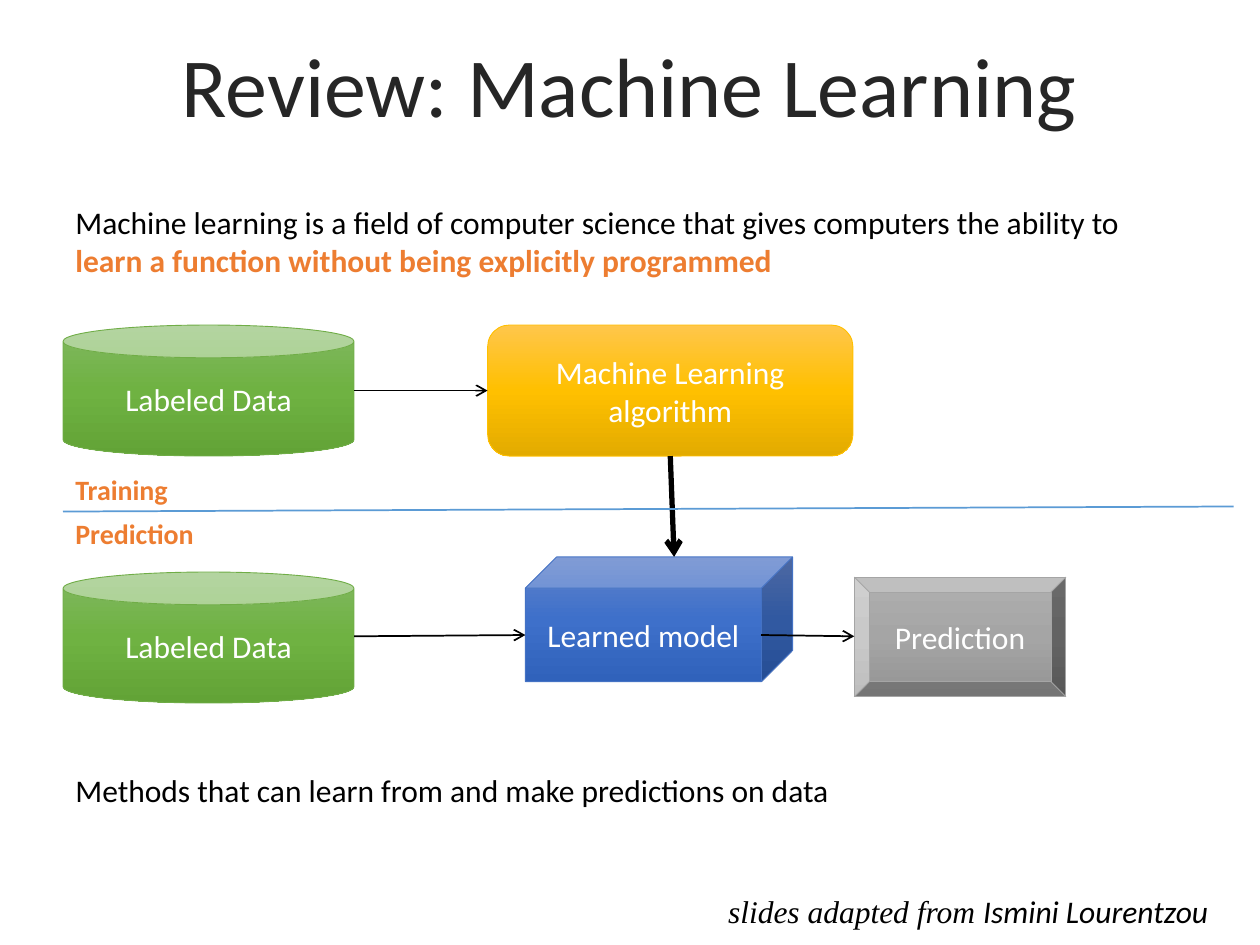
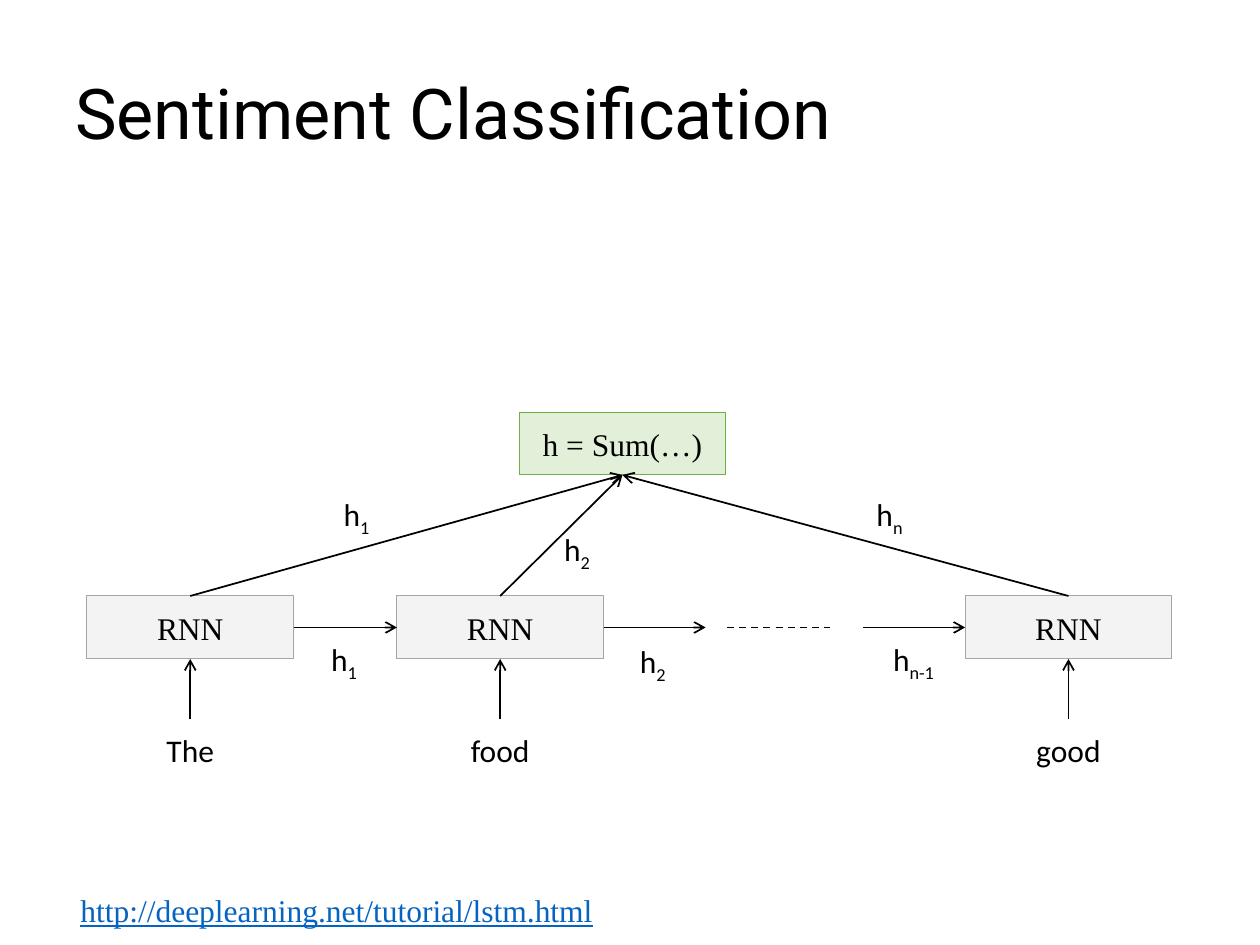
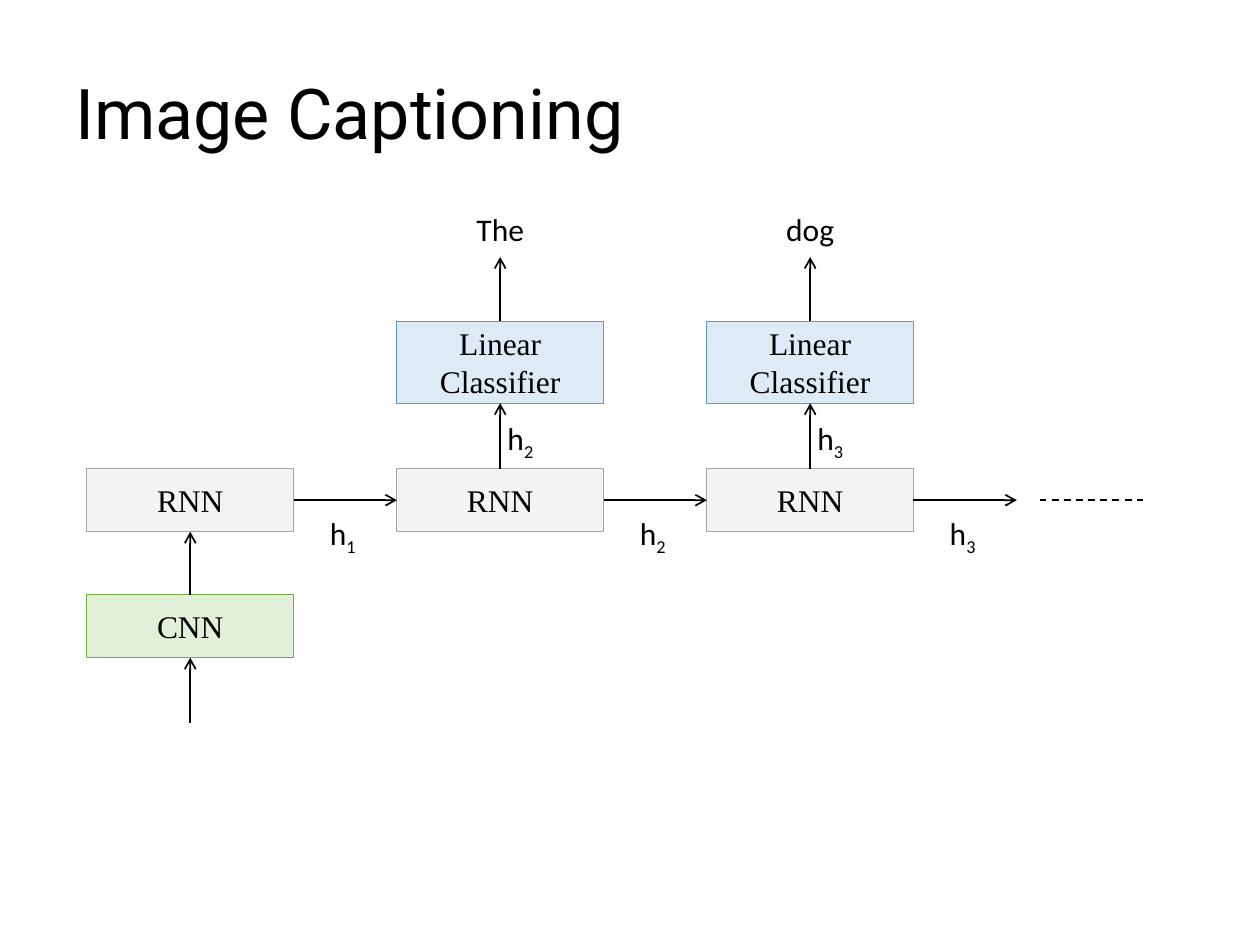
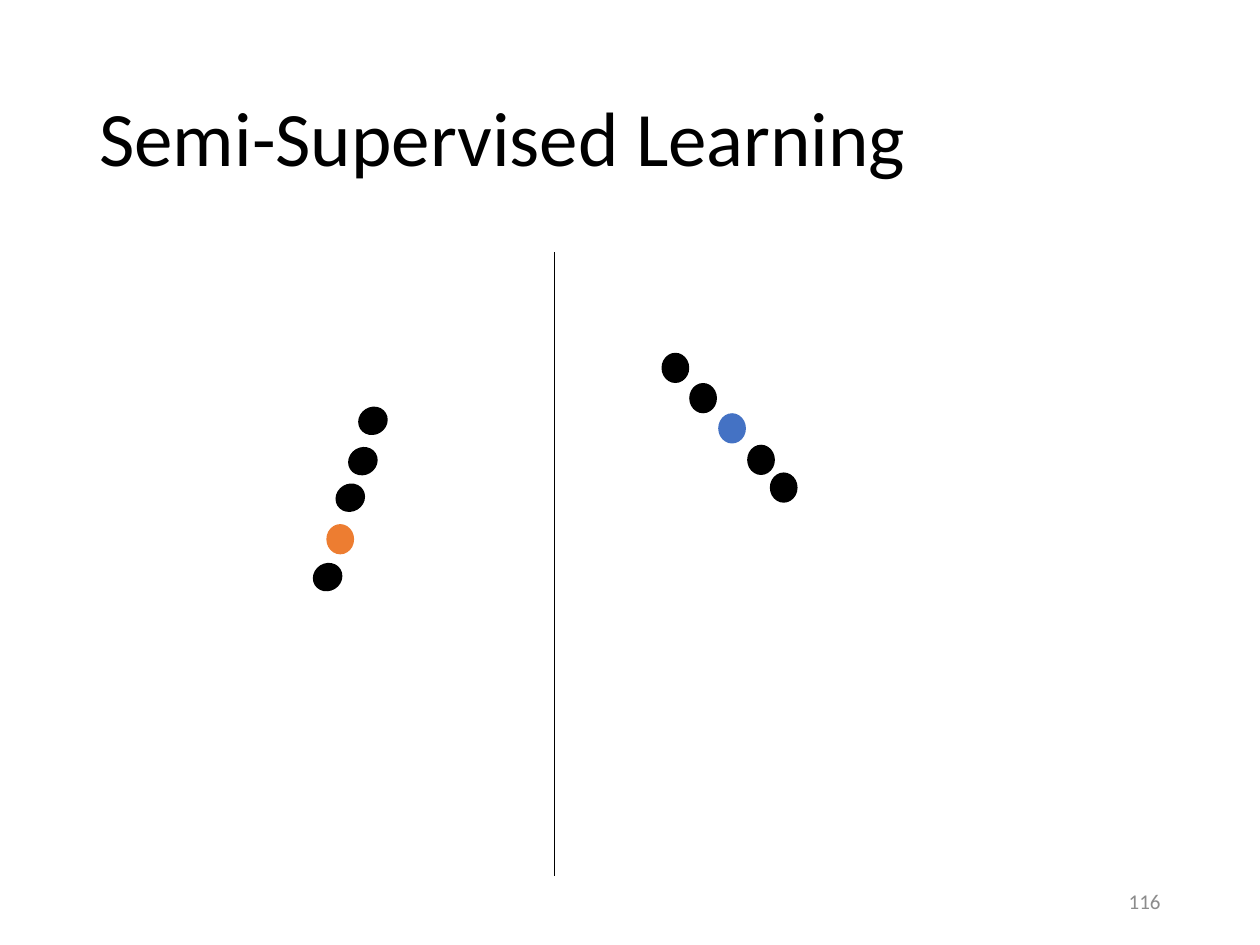
from copy import deepcopy
from pptx import Presentation
from pptx.dml.color import RGBColor
from pptx.enum.dml import MSO_LINE
from pptx.enum.shapes import MSO_CONNECTOR, MSO_SHAPE as Kind
from pptx.enum.text import MSO_ANCHOR as Anchor, MSO_AUTO_SIZE as Auto, PP_ALIGN as Align
from pptx.oxml.ns import qn
from pptx.util import Inches, Pt
from lxml.etree import SubElement

# Shared look
SANS, SERIF, HEAD = "Calibri", "Times New Roman", "Roboto"
BLACK, WHITE, ORANGE, BLUE = "000000", "FFFFFF", "ED7D31", "4472C4"
GREEN = ("81B861", "6FB242", "62A336", "70AD47")
GOLD = ("FFC64B", "FFC000", "E3AB00", "FFC000")
NAVY = ("6183CB", "3E70CA", "3062BB", BLUE)
GRAY = ("AFAFAF", "A5A5A5", "939393", "A5A5A5")
CELL, SUM, CLASS = ("DBDBDB", "A5A5A5"), ("A9D18E", "70AD47"), ("9DC3E6", "5B9BD5")
TOP, LEFT, BOTTOM, RIGHT = range(4)

# Network grid
X0, STEP, WIDE, HIGH = 0.69, 2.46, 1.64, 0.5
GAP = STEP - WIDE

# Learning flow: kind, text, box, colours
FLOW = [
    (Kind.CAN, "Labeled Data", (0.5, 2.58, 2.31, 1.04), GREEN),
    (Kind.CAN, "Labeled Data", (0.5, 4.54, 2.31, 1.04), GREEN),
    (Kind.ROUNDED_RECTANGLE, "Machine Learning algorithm", (3.87, 2.58, 2.9, 1.04), GOLD),
    (Kind.CUBE, "Learned model", (4.17, 4.42, 2.12, 0.99), NAVY),
    (Kind.BEVEL, "Prediction", (6.78, 4.58, 1.68, 0.95), GRAY),
]
STAGES = [("Training", (0.5, 3.7, 1.04, 0.37)), ("Prediction", (0.5, 4.05, 1.29, 0.37))]

# Sentence: word, left edge of its cell
WORDS = [("The", X0), ("food", X0 + STEP), ("good", 7.66)]
# Hidden states: subscript, centre, top
STATES = [("1", 2.73, 5.03), ("2", 5.18, 5.05), ("n-1", 7.25, 5.03),
          ("1", 2.83, 3.88), ("2", 4.58, 4.16), ("n", 7.06, 3.88)]
CAPTION = ["The", "dog"]

# Dots: left, top
TILTED = [(2.49, 4.46), (2.77, 3.54), (2.85, 3.22), (2.67, 3.83)]
UPRIGHT = [(5.93, 3.53), (6.11, 3.75), (5.47, 3.04), (5.25, 2.8)]
SEEDS = [(5.7, 3.28, BLUE), (2.59, 4.16, ORANGE)]


def rgb(code):
    return RGBColor.from_string(code)


def run(text, size=18, font=SANS, color=BLACK, **more):
    return text, size, font, color, more


def write(frame, runs, align=Align.LEFT, space=None):
    para = frame.paragraphs[0]
    para.alignment = align
    if space:
        para.line_spacing = space
    for text, size, font, color, more in runs:
        part = para.add_run()
        part.text = text
        part.font.size, part.font.name = Pt(size), font
        part.font.color.rgb = rgb(color)
        for name in ("bold", "italic", "underline"):
            if name in more:
                setattr(part.font, name, more[name])
        if "base" in more:
            part.font._element.set("baseline", str(more["base"] * 1000))


def text(slide, box, runs, align=Align.LEFT, wrap=True, anchor=Anchor.TOP, grow=True, space=None):
    frame = slide.shapes.add_textbox(*map(Inches, box)).text_frame
    frame.word_wrap = wrap
    frame.auto_size = Auto.SHAPE_TO_FIT_TEXT if grow else Auto.NONE
    frame.vertical_anchor = anchor
    write(frame, runs, align, space)


def title(slide, words, box=(0.5, 0.3, 9, 1.25), size=40, font=HEAD, color=BLACK,
          align=Align.LEFT, space=0.9):
    text(slide, box, [run(words, size, font, color)], align, True, Anchor.MIDDLE, False, space)


def shape(slide, kind, box, fill, edge=None):
    item = slide.shapes.add_shape(kind, *map(Inches, box))
    item.shadow.inherit = False
    if isinstance(fill, tuple):
        item.fill.gradient()
        item.fill.gradient_angle = 270
        stops = item._element.spPr.find(".//" + qn("a:gsLst"))
        stops.append(deepcopy(stops[-1]))
        for i, stop in enumerate(item.fill.gradient_stops):
            stop.position, stop.color.rgb = i / 2, rgb(fill[i])
    else:
        item.fill.solid()
        item.fill.fore_color.rgb = rgb(fill)
    if edge:
        item.line.color.rgb, item.line.width = rgb(edge), Pt(0.5)
    else:
        item.line.fill.background()
    return item


def label(item, words, font, color):
    frame = item.text_frame
    frame.word_wrap, frame.vertical_anchor = True, Anchor.MIDDLE
    write(frame, [run(words, 18, font, color)], Align.CENTER)


def cell(slide, words, x, y, tone=CELL, high=HIGH):
    item = shape(slide, Kind.RECTANGLE, (x, y, WIDE, high), *tone)
    tint = item._element.spPr.find(qn("a:solidFill"))[0]
    SubElement(tint, qn("a:alpha")).set("val", "33000")
    label(item, words, SERIF, BLACK)
    return item


def line(slide, start, end, color=BLACK, width=1, arrow=True, dash=False):
    """Each end is a point (x, y) or a joint (shape, side)."""
    ends = [start, end]
    joints = [hasattr(e[0], "text_frame") for e in ends]
    spots = [(0, 0) if j else tuple(map(Inches, e)) for e, j in zip(ends, joints)]
    link = slide.shapes.add_connector(MSO_CONNECTOR.STRAIGHT, *spots[0], *spots[1])
    link.line.color.rgb, link.line.width = rgb(color), Pt(width)
    if dash:
        link.line.dash_style = MSO_LINE.DASH
    props = link._element.spPr
    if arrow:
        SubElement(props.find(qn("a:ln")), qn("a:tailEnd")).set("type", "arrow")
    SubElement(props, qn("a:effectLst"))
    for joint, spot, join in zip(joints, ends, (link.begin_connect, link.end_connect)):
        if joint:
            join(*spot)


def state(slide, sub, mid, top):
    wide = 0.41 + 0.07 * len(sub)
    text(slide, (mid - wide / 2, top, wide, 0.4), [run("h"), run(sub, base=-25)],
         Align.CENTER, False)


def word(slide, words, mid, top):
    text(slide, (mid - 0.37, top, 0.74, 0.4), [run(words)], Align.CENTER, False)


def review(slide):
    title(slide, "Review: Machine Learning", (0.6, 0.2, 8.79, 0.94), 48, SANS, "262626",
          Align.CENTER, None)
    text(slide, (0.5, 1.56, 8.64, 0.71), [
        run("Machine learning is a field of computer science that gives computers the ability to "),
        run("learn a function without being explicitly programmed", color=ORANGE, bold=True)])
    text(slide, (0.5, 6.07, 9.29, 0.4),
         [run("Methods that can learn from and make predictions on data")])
    parts = []
    for kind, words, box, tone in FLOW:
        parts.append(shape(slide, kind, box, tone[:3], tone[3]))
        label(parts[-1], words, SANS, WHITE)
    method = parts[2]
    line(slide, (2.81, 3.1), (method, LEFT))
    line(slide, (2.81, 5.05), (4.17, 5.04))
    line(slide, (6.04, 5.04), (6.78, 5.05))
    line(slide, (method, BOTTOM), (5.35, 4.42), width=3)
    line(slide, (0.5, 4.06), (9.79, 4.02), "5B9BD5", arrow=False)
    for words, box in STAGES:
        text(slide, box, [run(words, 16, color=ORANGE, bold=True)], wrap=False)
    text(slide, (5.68, 7.03, 4.11, 0.4), [
        run("slides adapted from ", font=SERIF, italic=True),
        run("Ismini Lourentzou", italic=True)], wrap=False)


def sentiment(slide):
    title(slide, "Sentiment Classification")
    y = 4.73
    mid = y + HIGH / 2
    total = cell(slide, "h = Sum(…)", 4.12, 3.27, SUM)
    cells = []
    for words, x in WORDS:
        item = cell(slide, "RNN", x, y)
        center = x + WIDE / 2
        line(slide, (center, 5.71), (item, BOTTOM))
        line(slide, (item, TOP), (total, BOTTOM))
        word(slide, words, center, 5.75)
        cells.append(item)
    first, second, last = cells
    line(slide, (first, RIGHT), (second, LEFT))
    line(slide, (second, RIGHT), (5.6, mid))
    line(slide, (5.77, mid), (6.59, mid), arrow=False, dash=True)
    line(slide, (6.85, mid), (last, LEFT))
    for spec in STATES:
        state(slide, *spec)
    text(slide, (0.54, 7.02, 4.79, 0.4),
         [run("http://deeplearning.net/tutorial/lstm.html", font=SERIF, color="0563C1",
              underline=True)], wrap=False)


def caption(slide):
    title(slide, "Image Captioning")
    y = 3.72
    mid = y + HIGH / 2
    cells = [cell(slide, "RNN", X0 + i * STEP, y) for i in range(3)]
    image = cell(slide, "CNN", X0, y + 1, SUM)
    line(slide, (X0 + WIDE / 2, 5.74), (image, BOTTOM))
    line(slide, (image, TOP), (cells[0], BOTTOM))
    # Chain of states
    for i, item in enumerate(cells):
        edge = X0 + i * STEP + WIDE
        end = (cells[i + 1], LEFT) if i < 2 else (edge + GAP, mid)
        line(slide, (item, RIGHT), end)
        state(slide, str(i + 1), edge + 0.39, 4.03)
    line(slide, (8.25, mid), (9.07, mid), arrow=False, dash=True)
    # One word from each later cell
    for i, words in enumerate(CAPTION, 1):
        x = X0 + i * STEP
        center = x + WIDE / 2
        judge = cell(slide, "Linear Classifier", x, 2.55, CLASS, 0.65)
        line(slide, (cells[i], TOP), (judge, BOTTOM))
        line(slide, (judge, TOP), (center, 2.04))
        state(slide, str(i + 1), center + 0.16, 3.28)
        word(slide, words, center, 1.62)


def dot(slide, x, y, color=BLACK, turn=0):
    shape(slide, Kind.OVAL, (x, y, 0.22, 0.24), color).rotation = turn


def semi(slide):
    title(slide, "Semi-Supervised Learning", (0.69, 0.4, 8.62, 1.45), 44, SANS)
    text(slide, (7.06, 6.95, 2.25, 0.4), [run("116", 12, color="8C8C8C")], Align.RIGHT,
         anchor=Anchor.MIDDLE, grow=False)
    line(slide, (4.4, 2), (4.4, 6.95), width=0.5, arrow=False)
    for seed in SEEDS:
        dot(slide, *seed)
    for spot in UPRIGHT:
        dot(slide, *spot)
    for spot in TILTED:
        dot(slide, *spot, turn=58.5)


def main():
    deck = Presentation()
    deck.slide_width, deck.slide_height = Inches(10), Inches(7.5)
    for draw in (review, sentiment, caption, semi):
        draw(deck.slides.add_slide(deck.slide_layouts[6]))
    deck.save("out.pptx")


if __name__ == "__main__":
    main()
